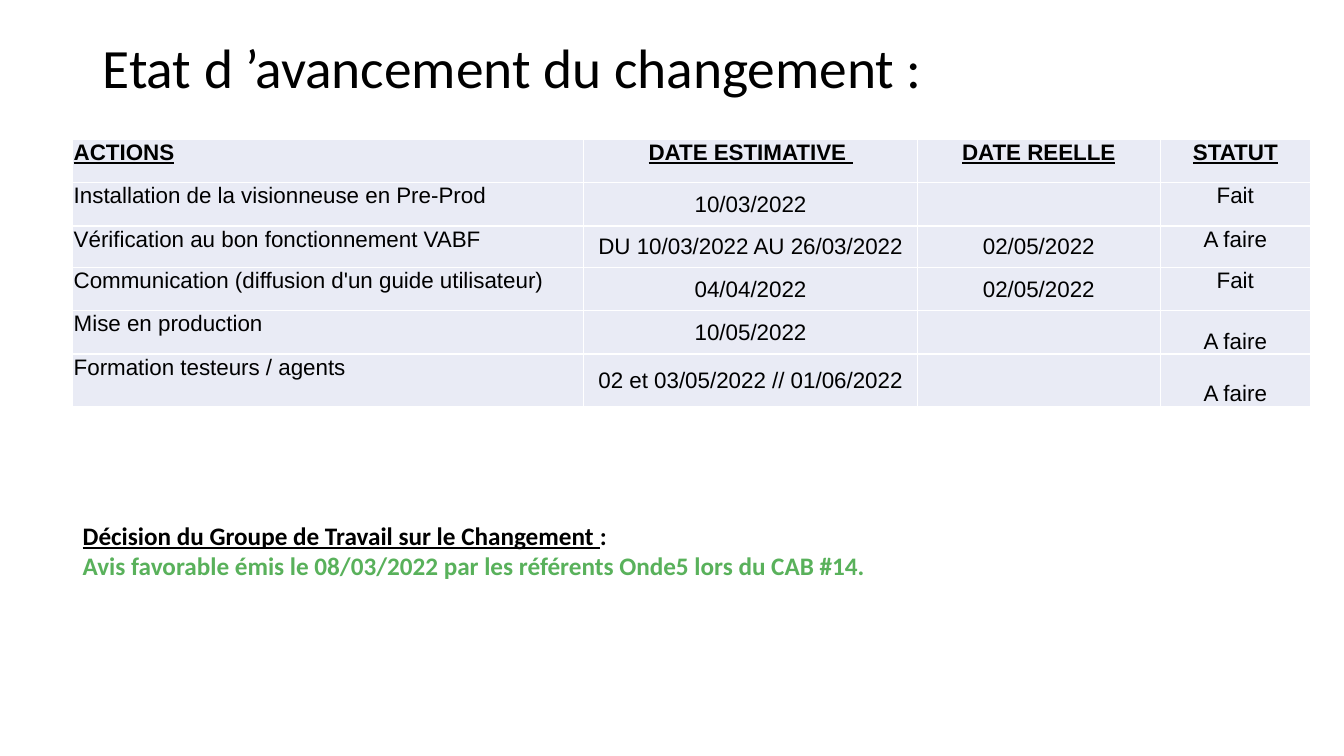
from pptx import Presentation
from pptx.dml.color import RGBColor
from pptx.enum.text import MSO_ANCHOR as Anchor, MSO_AUTO_SIZE as AutoSize, PP_ALIGN as Align
from pptx.util import Pt

BLACK, GREEN, PALE_BLUE = "000000", "59B15B", "E9EBF5"

COLUMN_WIDTHS = [365, 238.3, 173.5, 107.3]
ROW_HEIGHTS = [31, 31, 29.5, 31, 31, 37.5]
ACTIONS = [
    ["ACTIONS", "DATE ESTIMATIVE ", "DATE REELLE", "STATUT"],
    ["Installation de la visionneuse en Pre-Prod", "10/03/2022", "", "Fait"],
    ["Vérification au bon fonctionnement VABF", "DU 10/03/2022 AU 26/03/2022", "02/05/2022", "A faire"],
    ["Communication (diffusion d'un guide utilisateur)", "04/04/2022", "02/05/2022", "Fait"],
    ["Mise en production", "10/05/2022", "", "A faire"],
    ["Formation testeurs / agents", "02 et 03/05/2022 // 01/06/2022", "", "A faire"],
]
# Each line is a list of (text, colour, underlined)
DECISION = [
    [("Décision du Groupe de Travail sur le Changement ", BLACK, True), (":", BLACK, False)],
    [("Avis favorable émis le 08/03/2022 par les référents Onde5 lors du CAB #14.", GREEN, False)],
]


def colour(hex_code):
    return RGBColor.from_string(hex_code)


def style(run, font_name, size, hex_code=BLACK, bold=False, underline=False):
    font = run.font
    font.name, font.size = font_name, Pt(size)
    font.bold, font.underline = bold, underline
    font.color.rgb = colour(hex_code)


def add_box(slide, left, top, width, height):
    frame = slide.shapes.add_textbox(Pt(left), Pt(top), Pt(width), Pt(height)).text_frame
    frame.word_wrap = True
    return frame


def add_title(slide, text):
    frame = add_box(slide, 66.25, 28.8, 828, 43.2)
    frame.vertical_anchor = Anchor.MIDDLE
    frame.text = text
    heading = frame.paragraphs[0]
    heading.line_spacing = 0.9
    style(heading.runs[0], "Calibri", 39.6)


def cell_anchor(row, column):
    if row == 0 or column == 0:
        return Anchor.TOP
    if column < 3:
        return Anchor.MIDDLE
    # The last two statuses sit at the bottom of their cells
    return Anchor.BOTTOM if row >= 4 else Anchor.TOP


def fill_cell(cell, text, row, column):
    cell.fill.solid()
    cell.fill.fore_color.rgb = colour(PALE_BLUE)
    cell.margin_left = cell.margin_right = cell.margin_top = Pt(0.7)
    cell.margin_bottom = Pt(0)
    cell.vertical_anchor = cell_anchor(row, column)
    cell.text_frame.text = text
    entry = cell.text_frame.paragraphs[0]
    entry.alignment = Align.CENTER if column else Align.LEFT
    for run in entry.runs:
        style(run, "Arial", 16, bold=row == 0, underline=row == 0)


def add_action_table(slide):
    schedule = slide.shapes.add_table(
        len(ACTIONS), len(COLUMN_WIDTHS), Pt(52), Pt(99.5),
        Pt(sum(COLUMN_WIDTHS)), Pt(sum(ROW_HEIGHTS))).table
    schedule.first_row = schedule.horz_banding = False
    for column, width in zip(schedule.columns, COLUMN_WIDTHS):
        column.width = Pt(width)
    for row, height in zip(schedule.rows, ROW_HEIGHTS):
        row.height = Pt(height)
    for row, entries in enumerate(ACTIONS):
        for column, text in enumerate(entries):
            fill_cell(schedule.cell(row, column), text, row, column)


def add_decision(slide):
    frame = add_box(slide, 52, 368, 864.75, 51)
    frame.auto_size = AutoSize.SHAPE_TO_FIT_TEXT
    frame.text = "\n".join("".join(part[0] for part in line) for line in DECISION)
    for paragraph, line in zip(frame.paragraphs, DECISION):
        paragraph.clear()
        for text, hex_code, underline in line:
            run = paragraph.add_run()
            run.text = text
            style(run, "Calibri", 18, hex_code, bold=True, underline=underline)


def main():
    deck = Presentation()
    deck.slide_width, deck.slide_height = Pt(960), Pt(540)
    slide = deck.slides.add_slide(deck.slide_layouts[6])

    # Heading, schedule of actions, then the group's decision
    add_title(slide, "Etat d ’avancement du changement :")
    add_action_table(slide)
    add_decision(slide)

    deck.save("out.pptx")


if __name__ == "__main__":
    main()
